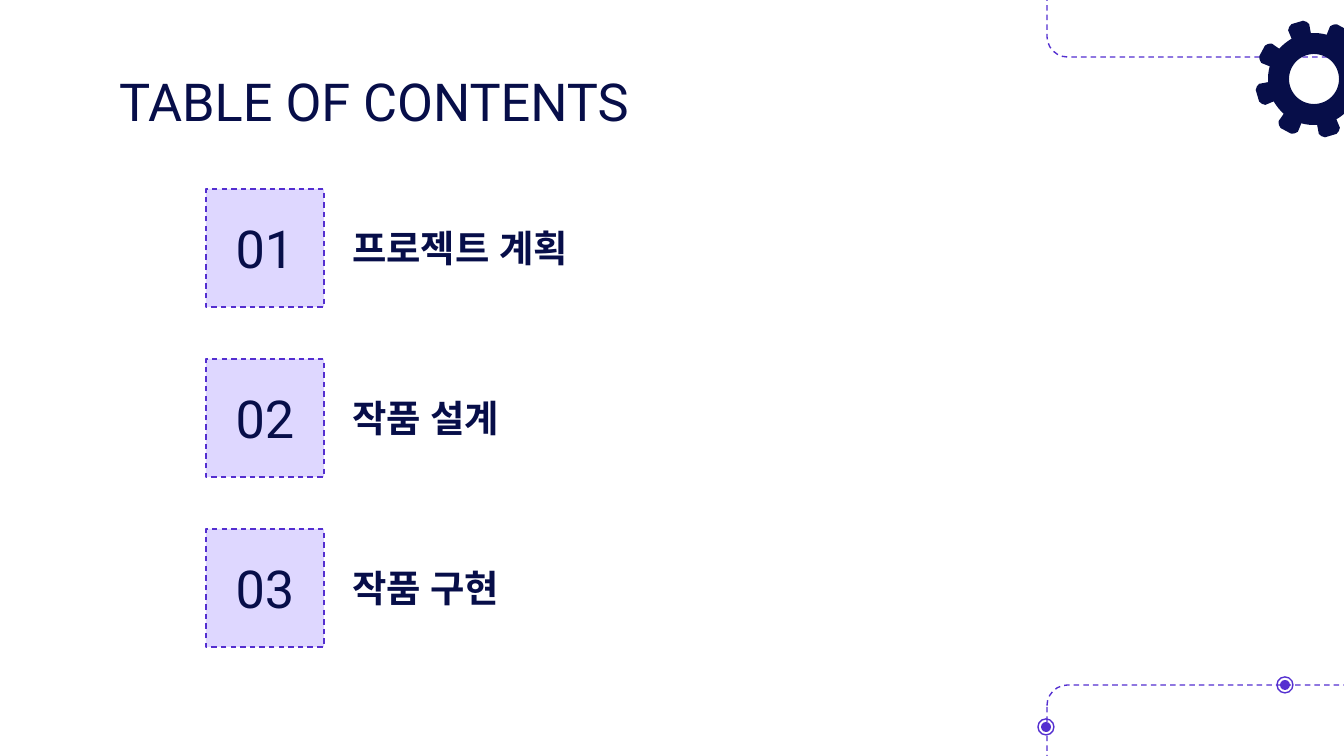
from dataclasses import dataclass
from math import cos, radians, sin

from lxml.etree import SubElement
from pptx import Presentation
from pptx.dml.color import RGBColor
from pptx.enum.dml import MSO_LINE_DASH_STYLE as Dash
from pptx.enum.shapes import MSO_SHAPE as Preset
from pptx.enum.text import MSO_ANCHOR as Anchor, MSO_AUTO_SIZE as AutoSize, PP_ALIGN as Align
from pptx.oxml.ns import qn
from pptx.util import Emu, Pt

PX_PER_INCH = 134.4


@dataclass(frozen=True)
class Theme:
    ink: RGBColor = RGBColor(0x07, 0x0E, 0x49)
    accent: RGBColor = RGBColor(0x54, 0x2F, 0xD0)
    tile: RGBColor = RGBColor(0xDE, 0xD7, 0xFF)
    font: str = "Roboto"
    large: int = 28
    medium: int = 20
    line: float = 0.75


@dataclass(frozen=True)
class Box:
    left: int
    top: int
    width: int
    height: int


@dataclass(frozen=True)
class Section:
    number: str
    label: str
    placeholder: int


THEME = Theme()
SECTIONS = [
    Section("01", "프로젝트 계획", 1),
    Section("02", "작품 설계", 2),
    Section("03", "작품 구현", 3),
]
FIRST_ROW, ROW_STEP, TILE = 189, 170, 118
NODES = [(1285, 685), (1046, 727)]


def px(value: float) -> Emu:
    return Emu(round(value * 914400 / PX_PER_INCH))


def place(shape, box: Box) -> None:
    shape.left, shape.top = px(box.left), px(box.top)
    shape.width, shape.height = px(box.width), px(box.height)


def add_preset(page, preset, box: Box, fill=None, line=None, dashed=False):
    shape = page.shapes.add_shape(preset, 0, 0, 0, 0)
    place(shape, box)
    shape.shadow.inherit = False
    if fill is None:
        shape.fill.background()
    else:
        shape.fill.solid()
        shape.fill.fore_color.rgb = fill
    if line is None:
        shape.line.fill.background()
    else:
        shape.line.color.rgb = line
        shape.line.width = Pt(THEME.line)
        if dashed:
            shape.line.dash_style = Dash.DASH
    return shape


def write(shape, text: str, size: int, bold=False, align=Align.LEFT, anchor=Anchor.MIDDLE) -> None:
    frame = shape.text_frame
    frame.word_wrap = True
    frame.auto_size = AutoSize.NONE
    frame.vertical_anchor = anchor
    frame.margin_left = frame.margin_right = frame.margin_bottom = px(13)
    frame.margin_top = px(12)
    para = frame.paragraphs[0]
    para.alignment = align
    para.space_before = Pt(0)
    # No bullet and no hanging indent
    properties = para._p.get_or_add_pPr()
    properties.set("marL", "0")
    properties.set("indent", "0")
    SubElement(properties, qn("a:buNone"))
    span = para.add_run()
    span.text = text
    span.font.size = Pt(size)
    span.font.bold = bold
    span.font.color.rgb = THEME.ink
    span.font.name = THEME.font
    SubElement(span.font._element, qn("a:ea"), typeface=THEME.font)


def add_node(page, x: int, y: int) -> None:
    for radius, fill, line in ((5, THEME.accent, None), (8, None, THEME.accent)):
        box = Box(x - radius, y - radius, 2 * radius, 2 * radius)
        add_preset(page, Preset.OVAL, box, fill, line)


def add_gear(page, x: int, y: int, teeth: int = 8) -> None:
    def point(radius: float, offset: float, degrees: float) -> tuple[int, int]:
        c, s = cos(radians(degrees)), sin(radians(degrees))
        return px(x + radius * c - offset * s), px(y + radius * s + offset * c)

    # Half a tooth as (distance from centre, sideways offset)
    flank = [(45, 10), (54, 11), (57, 9), (59, 6)]
    profile = [(r, -o) for r, o in flank] + flank[::-1]
    pitch = 360 / teeth
    rim = []
    for tooth in range(teeth):
        angle = -106.5 + tooth * pitch
        rim += [point(r, o, angle) for r, o in profile]
        rim += [point(46, 0, angle + pitch * part) for part in (0.4, 0.5, 0.6)]
    hole = [point(25, 0, -degrees) for degrees in range(0, 360, 6)]

    builder = page.shapes.build_freeform(*rim[0])
    builder.add_line_segments(rim[1:])
    builder.move_to(*hole[0])
    builder.add_line_segments(hole[1:])
    gear = builder.convert_to_shape()
    gear.shadow.inherit = False
    gear.fill.solid()
    gear.fill.fore_color.rgb = THEME.ink
    gear.line.fill.background()


def add_section(page, section: Section, top: int) -> None:
    tile = add_preset(page, Preset.RECTANGLE, Box(206, top, TILE, TILE),
                      THEME.tile, THEME.accent, dashed=True)
    write(tile, section.number, THEME.large, align=Align.CENTER)
    label = page.placeholders[section.placeholder]
    place(label, Box(339, top, 388, TILE))
    write(label, section.label, THEME.medium, bold=True)


def main() -> None:
    deck = Presentation()
    deck.slide_width, deck.slide_height = px(1344), px(756)
    # The comparison layout has a title and four body placeholders
    page = deck.slides.add_slide(deck.slide_layouts[4])
    spare = page.placeholders[4]._element
    spare.getparent().remove(spare)

    # Corner decoration
    for top in (-65, 685):
        track = add_preset(page, Preset.ROUNDED_RECTANGLE, Box(1047, top, 352, 122),
                           line=THEME.accent, dashed=True)
        track.adjustments[0] = 0.17
    for x, y in NODES:
        add_node(page, x, y)
    add_gear(page, 1314, 79)

    # Title
    title = page.shapes.title
    place(title, Box(106, 57, 1133, 87))
    write(title, "TABLE OF CONTENTS", THEME.large, anchor=Anchor.TOP)

    # Numbered sections
    for row, section in enumerate(SECTIONS):
        add_section(page, section, FIRST_ROW + row * ROW_STEP)

    deck.save("out.pptx")


if __name__ == "__main__":
    main()
